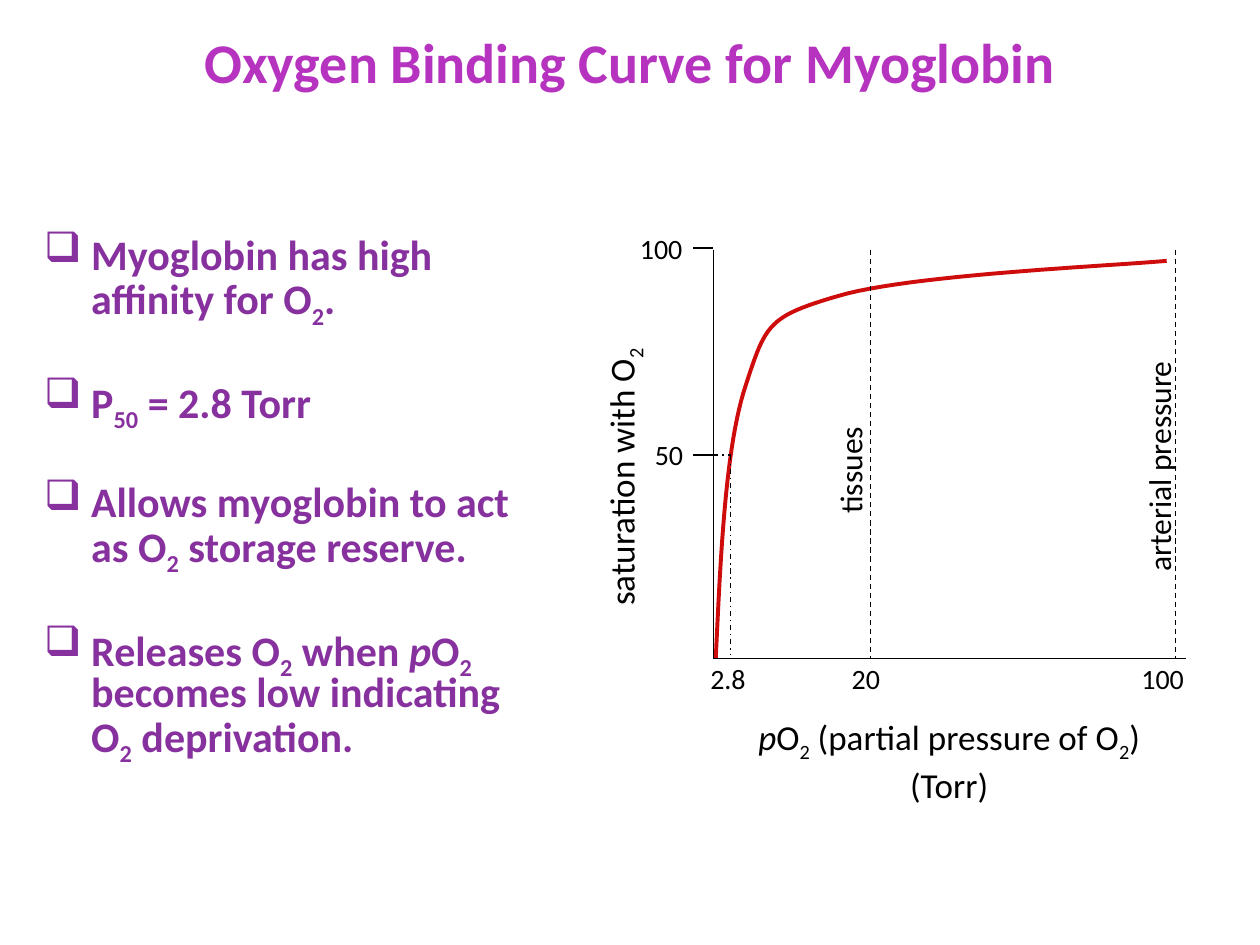
"""Build a slide on the oxygen binding curve of myoglobin."""
from dataclasses import dataclass

from lxml.etree import SubElement
from pptx import Presentation
from pptx.dml.color import RGBColor
from pptx.enum.dml import MSO_LINE as Dash
from pptx.enum.shapes import MSO_CONNECTOR as Link
from pptx.enum.text import MSO_AUTO_SIZE as Fit, PP_ALIGN as Align
from pptx.oxml.ns import qn
from pptx.util import Cm, Pt

FONT = "Calibri"
BLACK, RED, PURPLE, MAGENTA = "000000", "CF0C0C", "87319F", "B533BF"
AXIS_X, AXIS_TOP, AXIS_BASE, AXIS_END = 14.38, 5.03, 13.28, 23.9
TICK_X, FULL_Y, HALF_Y, HALF_X = 13.97, 5, 9.17, 14.73
TISSUE_X, ARTERY_X = 17.55, 23.7
NUMBER_Y, NUMBER_HEIGHT = 13.21, 0.94


@dataclass
class Label:
    text: str
    left: float
    top: float
    width: float
    height: float = NUMBER_HEIGHT
    size: int = 16
    align: Align = Align.LEFT
    turn: int = 0
    color: str = BLACK
    bold: bool = False
    wrap: bool = True


@dataclass
class Rule:
    x1: float
    y1: float
    x2: float
    y2: float
    dash: Dash | None = None


TITLE = Label("Oxygen Binding Curve for Myoglobin", 0.36, 0.43, 24.69, 1.63,
              32, Align.CENTER, color=MAGENTA, bold=True)
POINTS = [
    "Myoglobin has high affinity for O~2~.",
    "P~50~ = 2.8 Torr",
    "Allows myoglobin to act as O~2~ storage reserve.",
    "Releases O~2~ when *p*O~2~ becomes low indicating O~2~ deprivation.",
]
LABELS = [
    Label("tissues", 15.65, 8.97, 2.97, 1.02, 18, Align.CENTER, 270),
    Label("arterial pressure", 20.4, 8.89, 5.92, 1.02, 18, Align.CENTER, 270),
    Label("*p*O~2~ (partial pressure of O~2~) (Torr)",
          14.27, 14.3, 9.73, 1.96, 20, Align.CENTER),
    Label("saturation with O~2~", 9.12, 8.53, 6.78, 1.09, 20, turn=270),
    Label("100", 12.65, 4.55, 1.96),
    Label("50", 12.95, 8.69, 1.96),
    Label("2.8", 14.07, NUMBER_Y, 1.3, wrap=False),
    Label("20", 16.92, NUMBER_Y, 1.52),
    Label("100", 22.76, NUMBER_Y, 1.96),
]
RULES = [
    Rule(AXIS_X, AXIS_TOP, AXIS_X, AXIS_BASE),
    Rule(AXIS_X, AXIS_BASE, AXIS_END, AXIS_BASE),
    Rule(TISSUE_X, AXIS_TOP, TISSUE_X, AXIS_BASE, Dash.DASH),
    Rule(ARTERY_X, AXIS_TOP, ARTERY_X, AXIS_BASE, Dash.DASH),
    Rule(TICK_X, FULL_Y, AXIS_X, FULL_Y),
    Rule(TICK_X, HALF_Y, AXIS_X, HALF_Y),
    Rule(AXIS_X, HALF_Y, HALF_X, HALF_Y, Dash.DASH_DOT),
    Rule(HALF_X, HALF_Y, HALF_X, NUMBER_Y, Dash.DASH_DOT),
]
CURVE_START = (14.43, AXIS_BASE)
CURVE = [
    ((14.53, 11.13), (14.63, 8.97), (15.04, 7.75)),
    ((15.44, 6.53), (15.49, 6.38), (16.89, 5.97)),
    ((18.31, 5.54), (22.43, 5.36), (23.52, 5.26)),
]


def paint(color_format, color: str) -> None:
    color_format.rgb = RGBColor.from_string(color)


def write(para, text: str, size: int, color: str, bold: bool) -> None:
    """Fill a paragraph, with *italic* and ~subscript~ parts marked in the text."""
    para.font.name, para.font.size, para.font.bold = FONT, Pt(size), bold
    paint(para.font.color, color)
    for i, part in enumerate(text.split("*")):
        for j, piece in enumerate(part.split("~")):
            if not piece:
                continue
            span = para.add_run()
            span.text = piece
            if i % 2:
                span.font.italic = True
            if j % 2:
                span._r.get_or_add_rPr().set("baseline", "-25000")


def add_label(page, label: Label) -> None:
    box = page.shapes.add_textbox(Cm(label.left), Cm(label.top),
                                  Cm(label.width), Cm(label.height))
    box.rotation = label.turn
    box.text_frame.word_wrap = label.wrap
    box.text_frame.auto_size = Fit.SHAPE_TO_FIT_TEXT
    para = box.text_frame.paragraphs[0]
    para.alignment = label.align
    write(para, label.text, label.size, label.color, label.bold)


def add_points(page, points: list[str]) -> None:
    box = page.shapes.add_textbox(Cm(0.64), Cm(4.67), Cm(10.59), Cm(11.43))
    frame = box.text_frame
    frame.word_wrap = True
    for i, text in enumerate(points):
        para = frame.add_paragraph() if i else frame.paragraphs[0]
        props = para._p.get_or_add_pPr()
        props.set("marL", str(Cm(0.95)))
        props.set("indent", str(-Cm(0.95)))
        SubElement(props, qn("a:buChar")).set("char", "❑")
        para.line_spacing = 0.8
        para.space_before = Pt(33 if i else 0)
        write(para, text, 24, PURPLE, True)


def add_rule(page, rule: Rule) -> None:
    line = page.shapes.add_connector(Link.STRAIGHT, Cm(rule.x1), Cm(rule.y1),
                                     Cm(rule.x2), Cm(rule.y2))
    paint(line.line.color, BLACK)
    line.line.width = Pt(0.75)
    if rule.dash is not None:
        line.line.dash_style = rule.dash
    SubElement(line._element.spPr, qn("a:effectLst"))


def bezier(t: float, *values: float) -> float:
    a, b, c, d = values
    s = 1 - t
    return a * s**3 + 3 * b * s**2 * t + 3 * c * s * t**2 + d * t**3


def add_curve(page, steps: int = 24) -> None:
    start, vertices = CURVE_START, []
    for segment in CURVE:
        xs, ys = zip(start, *segment)
        vertices += [(Cm(bezier(k / steps, *xs)), Cm(bezier(k / steps, *ys)))
                     for k in range(1, steps + 1)]
        start = segment[-1]
    builder = page.shapes.build_freeform(*map(Cm, CURVE_START))
    builder.add_line_segments(vertices, close=False)
    curve = builder.convert_to_shape()
    curve.shadow.inherit = False
    curve.fill.background()
    paint(curve.line.color, RED)
    curve.line.width = Pt(2.25)


def main() -> None:
    deck = Presentation()
    deck.slide_width, deck.slide_height = Cm(25.4), Cm(19.05)
    page = deck.slides.add_slide(deck.slide_layouts[6])
    add_points(page, POINTS)
    add_curve(page)
    for rule in RULES:
        add_rule(page, rule)
    for label in [*LABELS, TITLE]:
        add_label(page, label)
    deck.save("out.pptx")


if __name__ == "__main__":
    main()
